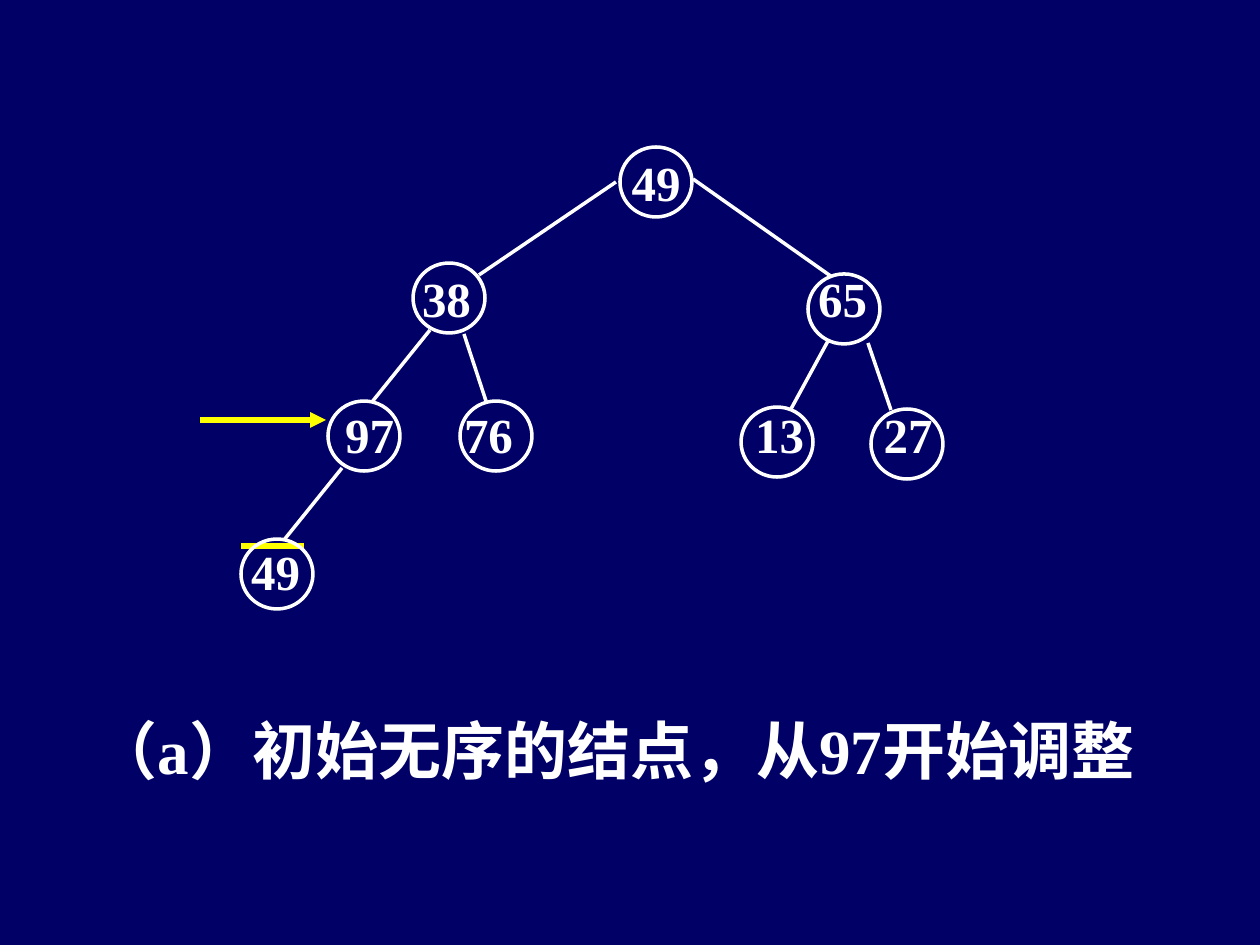
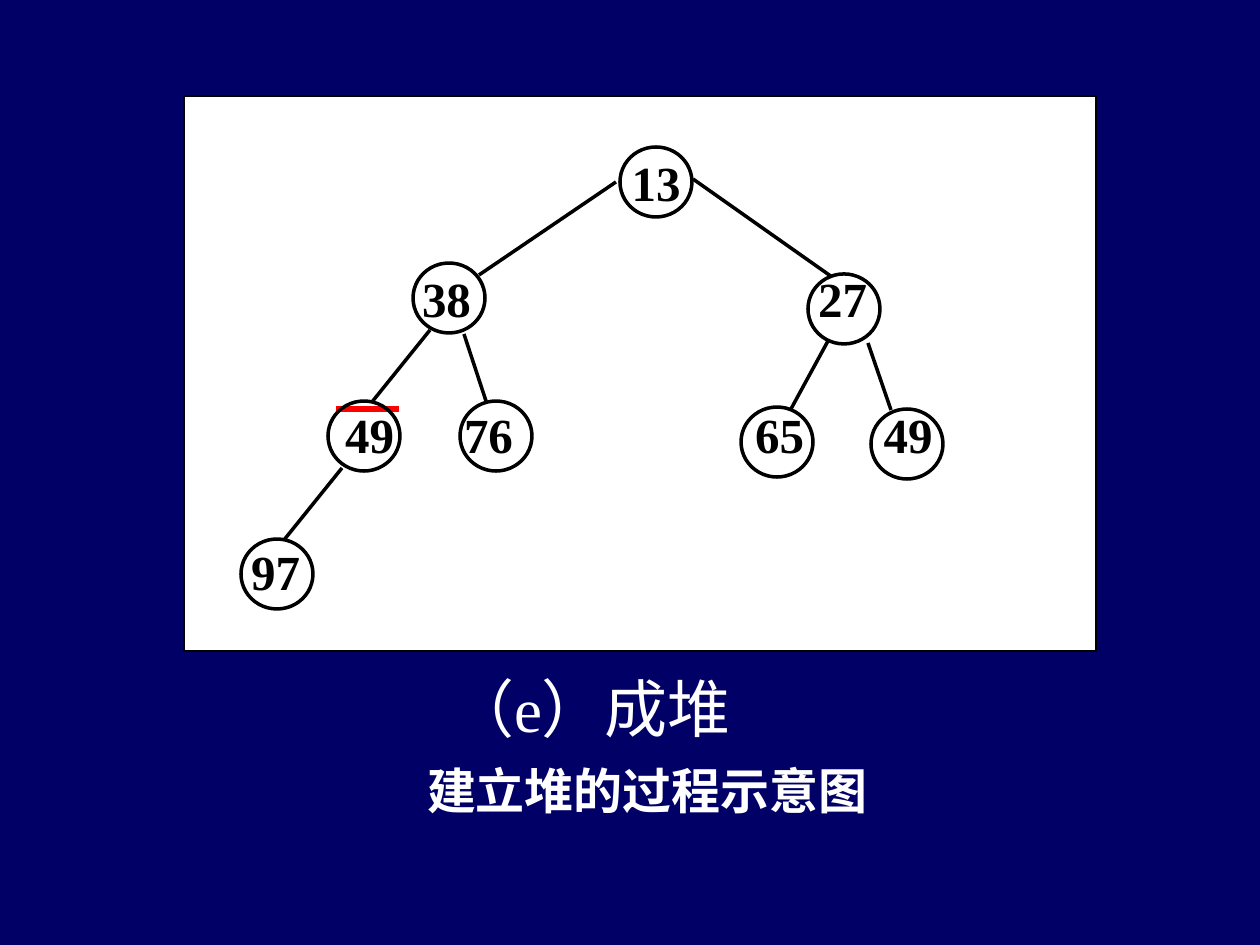
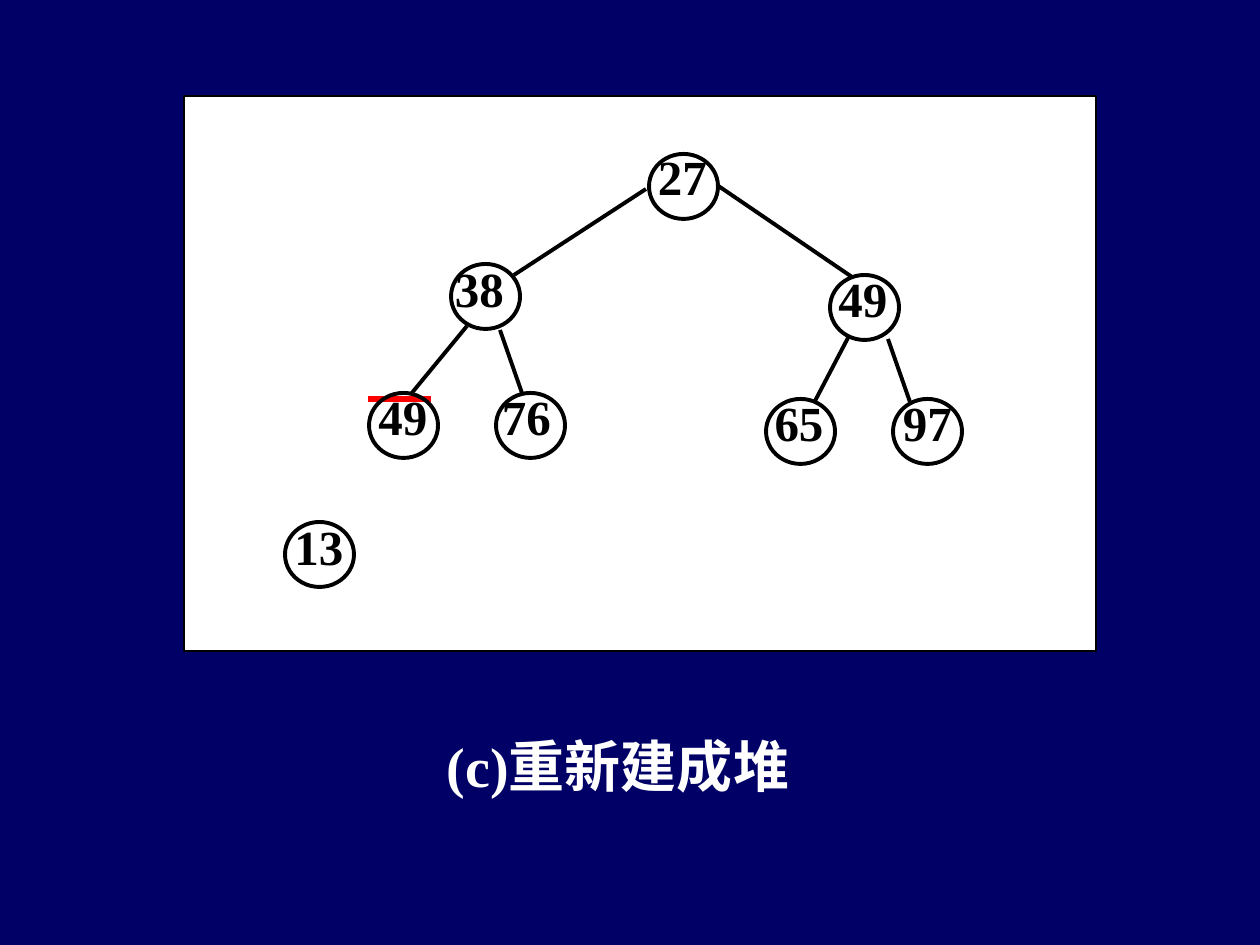
from lxml.etree import SubElement
from pptx import Presentation
from pptx.dml.color import RGBColor
from pptx.enum.shapes import MSO_CONNECTOR, MSO_SHAPE
from pptx.enum.text import PP_ALIGN
from pptx.oxml.ns import qn
from pptx.util import Emu, Pt

NAVY, WHITE, BLACK, YELLOW, RED = "000066", "FFFFFF", "000000", "FFFF00", "FF0000"
LATIN_FONT, CHINESE_FONT = "Times New Roman", "Noto Sans CJK SC"
EMU_PER_PX = 914400 / 126
CENTER, JUSTIFY = PP_ALIGN.CENTER, PP_ALIGN.JUSTIFY


def px(*lengths):
    return [Emu(round(length * EMU_PER_PX)) for length in lengths]


def color(hex_string):
    return RGBColor.from_string(hex_string)


# Tree layouts: circle (left, top), label box (left, top, width), alignment
FULL_TREE = {
    "line_width": 2,
    "circle_size": (72, 70),
    "nodes": [
        ((620, 147), (577, 147, 158), CENTER),
        ((413, 263), (409, 262, 158), JUSTIFY),
        ((808, 274), (756, 262, 173), CENTER),
        ((328, 401), (283, 399, 173), CENTER),
        ((460, 401), (451, 399, 158), JUSTIFY),
        ((741, 407), (693, 399, 173), CENTER),
        ((871, 409), (829, 399, 158), CENTER),
        ((241, 539), (189, 535, 173), CENTER),
    ],
    "edges": [
        (616, 182, 479, 275), (693, 179, 832, 277), (430, 330, 372, 402),
        (464, 334, 486, 401), (828, 341, 791, 409), (868, 343, 891, 410),
        (342, 468, 284, 540),
    ],
}
REDUCED_TREE = {
    "line_width": 2.25,
    "circle_size": (69, 65),
    "nodes": [
        ((649, 154), (607, 140, 151), CENTER),
        ((451, 264), (442, 252, 127), JUSTIFY),
        ((830, 275), (780, 262, 166), CENTER),
        ((369, 393), (320, 381, 166), CENTER),
        ((496, 393), (489, 381, 127), JUSTIFY),
        ((766, 399), (716, 387, 166), CENTER),
        ((893, 399), (852, 387, 151), CENTER),
        ((285, 522), (236, 510, 166), CENTER),
    ],
    "edges": [
        (646, 189, 514, 275), (717, 185, 852, 277), (467, 326, 411, 394),
        (500, 330, 522, 393), (849, 336, 815, 401), (888, 339, 910, 402),
    ],
}

# Captions: text, (left, top, width, height), size, bold, alignment
SLIDES = [
    {
        "tree": FULL_TREE, "values": [49, 38, 65, 97, 76, 13, 27, 49],
        "panel": False, "ink": WHITE,
        "captions": [("（a）初始无序的结点，从97开始调整", (95, 711, 1092, 147), 36, True, JUSTIFY)],
        "marks": [((200, 420, 326, 420), YELLOW, 3, True),
                  ((241, 546, 304, 546), YELLOW, 3.25, False)],
    },
    {
        "tree": FULL_TREE, "values": [13, 38, 27, 49, 76, 65, 49, 97],
        "panel": True, "ink": BLACK,
        "captions": [("建立堆的过程示意图", (427, 760, 482, 69), 28, True, JUSTIFY),
                     ("（e）成堆", (451, 670, 348, 58), 36, False, JUSTIFY)],
        "marks": [((336, 409, 399, 409), RED, 3.25, False)],
    },
    {
        "tree": REDUCED_TREE, "values": [27, 38, 49, 49, 76, 65, 97, 13],
        "panel": True, "ink": BLACK,
        "captions": [("(c)重新建成堆", (161, 731, 914, 68), 32, True, CENTER)],
        "marks": [((368, 399, 431, 399), RED, 3, False)],
    },
]

deck = Presentation()
deck.slide_width, deck.slide_height = px(1260, 945)

for content in SLIDES:
    page = deck.slides.add_slide(deck.slide_layouts[6])
    page.background.fill.solid()
    page.background.fill.fore_color.rgb = color(NAVY)
    tree, ink = content["tree"], content["ink"]

    if content["panel"]:
        panel = page.shapes.add_shape(MSO_SHAPE.RECTANGLE, *px(184, 96, 912, 555))
        panel.shadow.inherit = False
        panel.fill.solid()
        panel.fill.fore_color.rgb = color(WHITE)
        panel.line.color.rgb = color(BLACK)
        panel.line.width = Pt(0.75)

    lines = [(edge, ink, tree["line_width"], False) for edge in tree["edges"]]
    for ends, line_color, width, has_arrow in lines + content["marks"]:
        connector = page.shapes.add_connector(MSO_CONNECTOR.STRAIGHT, *px(*ends))
        connector.line.color.rgb = color(line_color)
        connector.line.width = Pt(width)
        if has_arrow:
            SubElement(connector.line._get_or_add_ln(), qn("a:tailEnd"), type="triangle")
        SubElement(connector._element.spPr, qn("a:effectLst"))

    texts = [(*caption, WHITE, (0, 0)) for caption in content["captions"]]
    for value, (corner, label, alignment) in zip(content["values"], tree["nodes"]):
        circle = page.shapes.add_shape(MSO_SHAPE.OVAL, *px(*corner, *tree["circle_size"]))
        circle.shadow.inherit = False
        circle.fill.background()
        circle.line.color.rgb = color(ink)
        circle.line.width = Pt(tree["line_width"])
        texts.append((str(value), (*label, 120), 28, True, alignment, ink, (13, 6)))

    for text, frame, size, bold, alignment, text_color, insets in texts:
        box = page.shapes.add_textbox(*px(*frame))
        text_frame = box.text_frame
        text_frame.word_wrap = True
        text_frame.margin_left, text_frame.margin_top = px(*insets)
        text_frame.margin_right, text_frame.margin_bottom = px(*insets)
        text_frame.text = text
        paragraph = text_frame.paragraphs[0]
        paragraph.alignment = alignment
        for span in paragraph.runs:
            span.font.name = LATIN_FONT
            span.font.size = Pt(size)
            span.font.bold = bold
            span.font.color.rgb = color(text_color)
            SubElement(span.font._element, qn("a:ea"), typeface=CHINESE_FONT)

deck.save("out.pptx")
